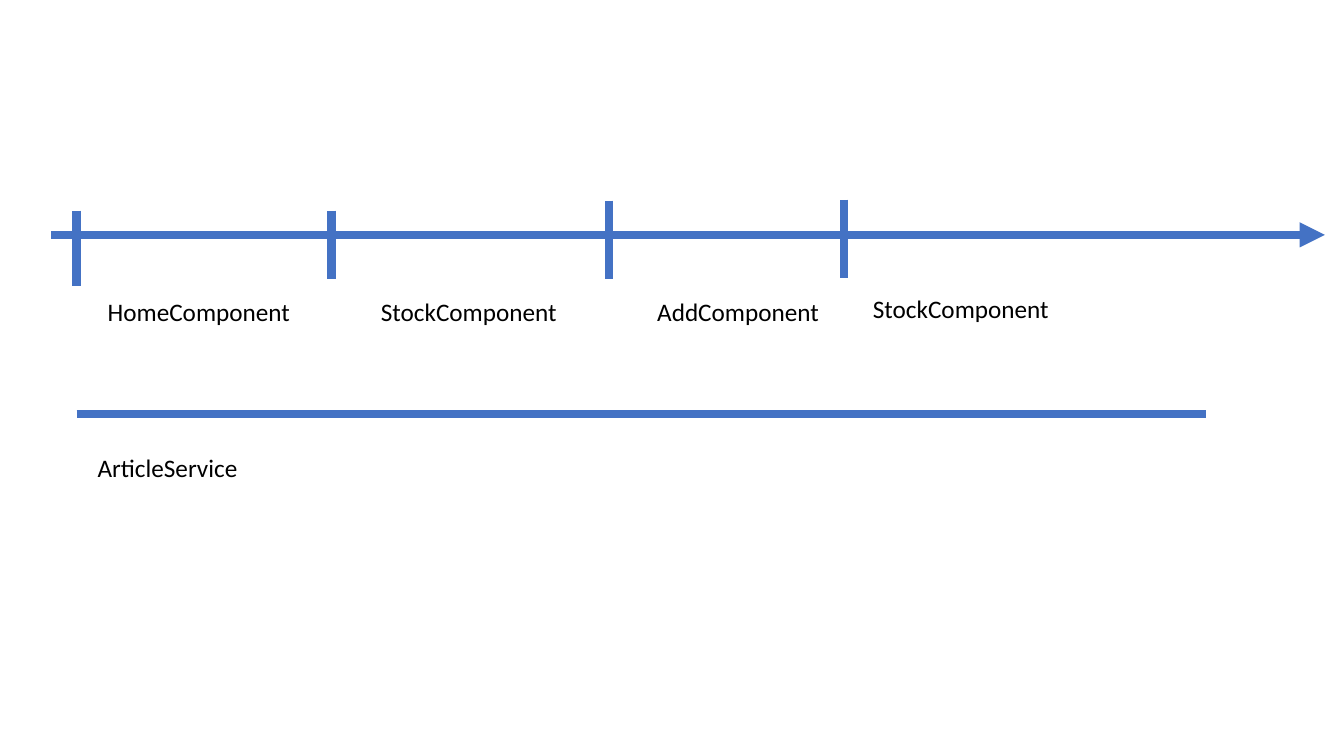
import dataclasses

import lxml.etree
import pptx
import pptx.dml.color
import pptx.enum.shapes
import pptx.enum.text
import pptx.oxml.ns
import pptx.util


@dataclasses.dataclass(frozen=True)
class Theme:
    accent: str = "4472C4"
    ink: str = "000000"
    font: str = "Calibri"
    text_size: float = 18
    stroke: float = 6


@dataclasses.dataclass(frozen=True)
class Line:
    start: tuple[float, float]
    end: tuple[float, float]
    arrow: bool = False


@dataclasses.dataclass(frozen=True)
class Label:
    text: str
    column: float
    row: float
    width: float


@dataclasses.dataclass(frozen=True)
class Stage:
    column: float
    top: float
    bottom: float
    label: Label


THEME = Theme()

# The page is a grid of one-inch cells
CELL = pptx.util.Inches(1)
COLUMNS, ROWS = 13.33, 7.5
LABEL_HEIGHT = 0.4

# Component timeline
AXIS_ROW = 2.33
LABEL_ROW = 2.89
AXIS = Line((0.51, AXIS_ROW), (13.14, AXIS_ROW), arrow=True)
STAGES = [
    Stage(0.76, 2.09, 2.84, Label("HomeComponent", 0.97, LABEL_ROW, 2.03)),
    Stage(3.29, 2.09, 2.77, Label("StockComponent", 3.68, LABEL_ROW, 1.96)),
    Stage(6.04, 1.99, 2.77, Label("AddComponent", 6.42, LABEL_ROW, 1.82)),
    Stage(8.37, 1.98, 2.76, Label("StockComponent", 8.56, 2.86, 1.96)),
]

# Service lifetime, starting with the first stage
SERVICE_ROW = 4.11
SERVICE = Line((STAGES[0].column, SERVICE_ROW), (11.96, SERVICE_ROW))
SERVICE_LABEL = Label("ArticleService", 0.87, 4.44, 1.6)


def cells(count: float) -> int:
    return round(count * CELL)


def draw_line(page, line: Line) -> None:
    connector = page.shapes.add_connector(
        pptx.enum.shapes.MSO_CONNECTOR.STRAIGHT,
        *map(cells, line.start + line.end),
    )
    connector.line.color.rgb = pptx.dml.color.RGBColor.from_string(THEME.accent)
    connector.line.width = pptx.util.Pt(THEME.stroke)
    qualified = pptx.oxml.ns.qn
    if line.arrow:
        outline = connector.line._get_or_add_ln()
        lxml.etree.SubElement(outline, qualified("a:tailEnd"), type="triangle")
    properties = connector._element.spPr
    lxml.etree.SubElement(properties, qualified("a:effectLst"))


def draw_label(page, label: Label) -> None:
    box = page.shapes.add_textbox(
        *map(cells, (label.column, label.row, label.width, LABEL_HEIGHT))
    )
    frame = box.text_frame
    frame.word_wrap = False
    frame.auto_size = pptx.enum.text.MSO_AUTO_SIZE.SHAPE_TO_FIT_TEXT
    para = frame.paragraphs[0]
    para.text = label.text
    para.font.name = THEME.font
    para.font.size = pptx.util.Pt(THEME.text_size)
    para.font.color.rgb = pptx.dml.color.RGBColor.from_string(THEME.ink)


def draw_stage(page, stage: Stage) -> None:
    draw_line(page, Line((stage.column, stage.top), (stage.column, stage.bottom)))
    draw_label(page, stage.label)


def main() -> None:
    deck = pptx.Presentation()
    deck.slide_width = cells(COLUMNS)
    deck.slide_height = cells(ROWS)
    page = deck.slides.add_slide(deck.slide_layouts[6])

    draw_line(page, AXIS)
    for stage in STAGES:
        draw_stage(page, stage)
    draw_label(page, SERVICE_LABEL)
    draw_line(page, SERVICE)

    deck.save("out.pptx")


if __name__ == "__main__":
    main()
